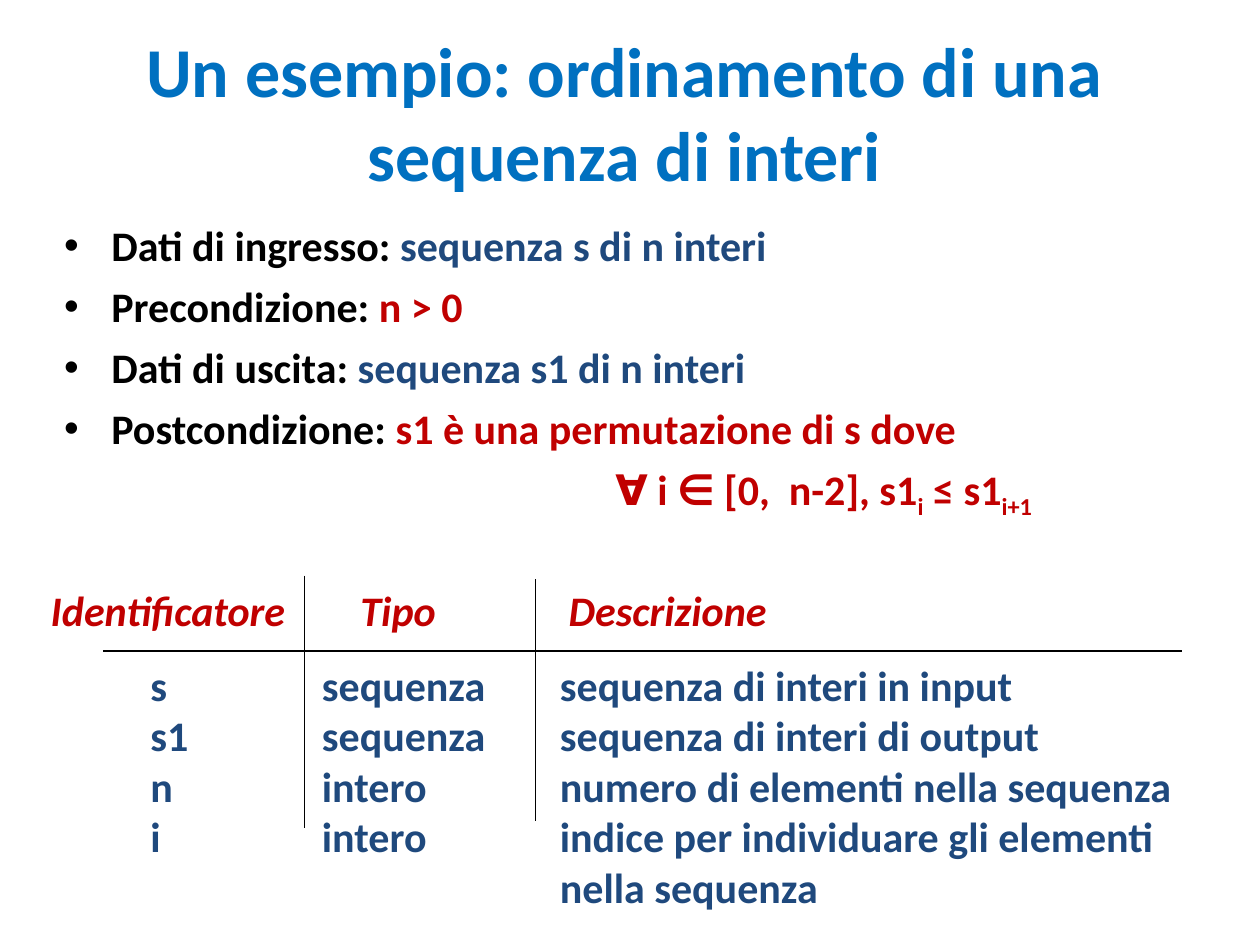
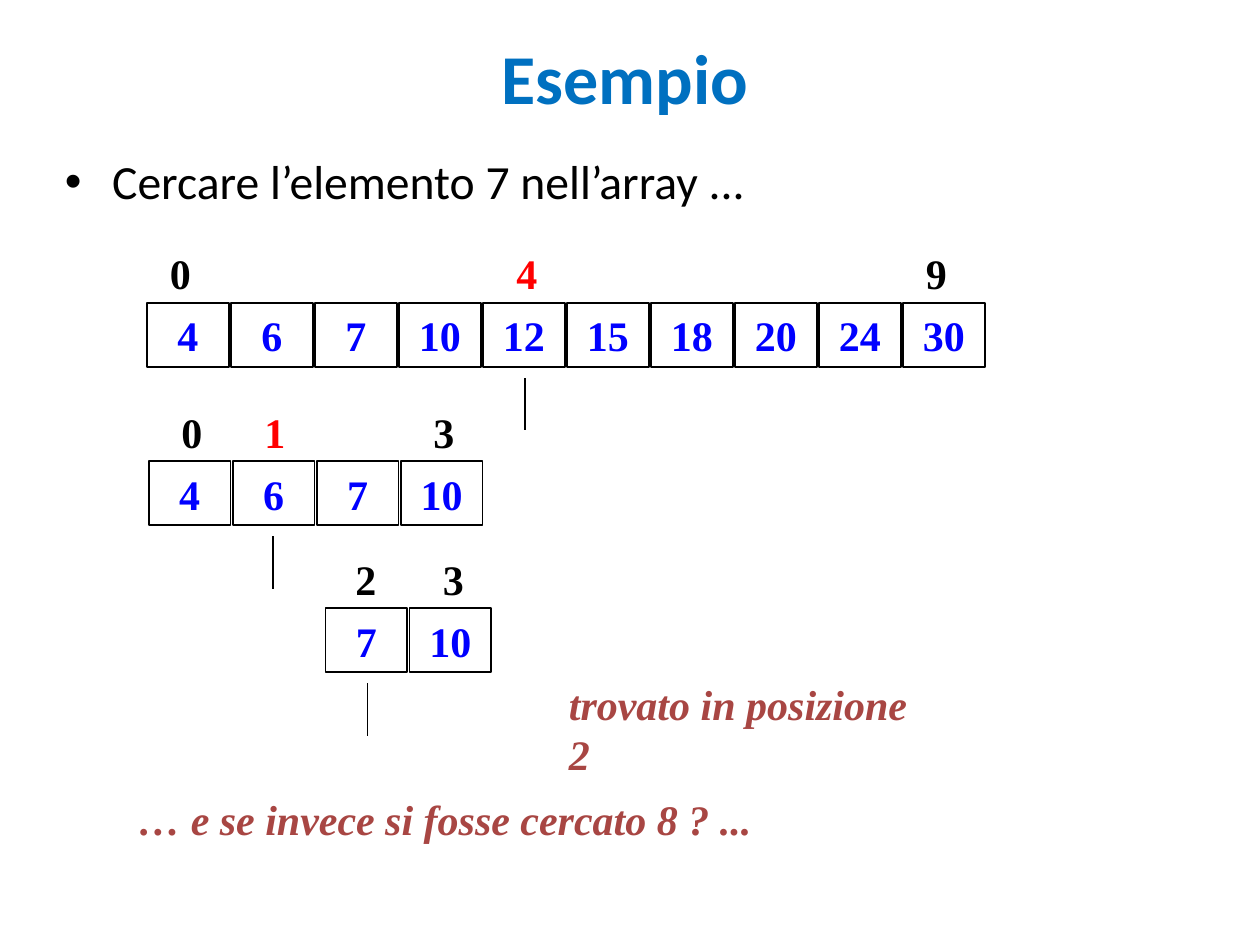
from dataclasses import dataclass

from lxml.etree import SubElement
from pptx import Presentation
from pptx.dml.color import RGBColor
from pptx.enum.shapes import MSO_CONNECTOR, MSO_SHAPE
from pptx.enum.text import MSO_ANCHOR, MSO_AUTO_SIZE, PP_ALIGN
from pptx.oxml.ns import qn
from pptx.util import Pt


@dataclass(frozen=True)
class Theme:
    sans: str = "Calibri"
    serif: str = "Times New Roman"
    title: str = "0070C0"
    black: str = "000000"
    navy: str = "1F497D"
    crimson: str = "C00000"
    blue: str = "0000FF"
    red: str = "FF0000"
    brick: str = "A84643"
    head: float = 40
    lead: float = 27.2
    body: float = 24
    rule: float = 1


LOOK = Theme()
PITCH, CELL_W, CELL_H = 48, 46.8, 36.7
INDENT = 27


def add_run(par, text, color, font=LOOK.sans, size=LOOK.body,
            bold=True, italic=False, sub=False):
    run = par.add_run()
    run.text = text
    run.font.name = font
    run.font.size = Pt(size)
    run.font.bold = bold
    run.font.italic = italic
    run.font.color.rgb = RGBColor.from_string(color)
    if sub:
        run._r.get_or_add_rPr().set("baseline", "-25000")


def add_page(deck, title, left, top, width, height):
    """Add a title-only slide with its title placed and styled."""
    page = deck.slides.add_slide(deck.slide_layouts[5])
    shape = page.shapes.title
    shape.left, shape.top = Pt(left), Pt(top)
    shape.width, shape.height = Pt(width), Pt(height)
    frame = shape.text_frame
    frame.auto_size = MSO_AUTO_SIZE.NONE
    frame.vertical_anchor = MSO_ANCHOR.MIDDLE
    par = frame.paragraphs[0]
    par.alignment = PP_ALIGN.CENTER
    add_run(par, title, LOOK.title, size=LOOK.head)
    return page


def add_box(page, left, top, width, height, wrap=False):
    box = page.shapes.add_textbox(Pt(left), Pt(top), Pt(width), Pt(height))
    box.text_frame.word_wrap = wrap
    return box.text_frame


def set_indent(par, left, bullet):
    props = par._p.get_or_add_pPr()
    props.set("marL", str(Pt(left)))
    props.set("indent", str(Pt(-INDENT if bullet else 0)))
    if bullet:
        SubElement(props, qn("a:buFont")).set("typeface", "Arial")
        SubElement(props, qn("a:buChar")).set("char", "•")
    else:
        SubElement(props, qn("a:buNone"))


def add_line(page, x1, y1, x2, y2):
    line = page.shapes.add_connector(
        MSO_CONNECTOR.STRAIGHT, Pt(x1), Pt(y1), Pt(x2), Pt(y2))
    line.line.color.rgb = RGBColor.from_string(LOOK.black)
    line.line.width = Pt(LOOK.rule)
    SubElement(line._element.spPr, qn("a:effectLst"))


def add_note(page, text, left, top, width, color, italic=False):
    frame = add_box(page, left, top, width, 36)
    add_run(frame.paragraphs[0], text, color, LOOK.serif, italic=italic)


def add_cell(page, text, left, top):
    cell = page.shapes.add_shape(
        MSO_SHAPE.RECTANGLE, Pt(left), Pt(top), Pt(CELL_W), Pt(CELL_H))
    cell.shadow.inherit = False
    cell.fill.background()
    cell.line.color.rgb = RGBColor.from_string(LOOK.black)
    cell.line.width = Pt(LOOK.rule)
    frame = cell.text_frame
    frame.word_wrap = False
    frame.vertical_anchor = MSO_ANCHOR.MIDDLE
    par = frame.paragraphs[0]
    par.alignment = PP_ALIGN.CENTER
    add_run(par, text, LOOK.blue, LOOK.serif)


def add_array(page, left, top, values, marks, probe):
    """Draw a row of cells, index marks above it and a probe line below."""
    for pos, value in enumerate(values):
        add_cell(page, str(value), left + pos * PITCH, top)
    for text, x, color in marks:
        add_note(page, text, x, top - 35, 26, color)
    add_line(page, probe, top + 43, probe, top + 73)


def add_terms(page, rows, edges, heights, pads):
    """Add the table of identifiers; pads hold head and body insets."""
    left, top = edges[0], 335
    table = page.shapes.add_table(
        len(rows), len(rows[0]), Pt(left), Pt(top),
        Pt(edges[-1] - left), Pt(sum(heights))).table
    table.first_row = table.horz_banding = False
    for column, start, end in zip(table.columns, edges, edges[1:]):
        column.width = Pt(end - start)
    for r, (row, height) in enumerate(zip(rows, heights)):
        table.rows[r].height = Pt(height)
        head = r == 0
        for c, text in enumerate(row):
            cell = table.cell(r, c)
            cell.fill.background()
            cell.margin_left = Pt(pads[0 if head else 1][c])
            cell.margin_right = cell.margin_top = cell.margin_bottom = 0
            add_run(cell.text_frame.paragraphs[0], text,
                    LOOK.crimson if head else LOOK.navy, italic=head)


def add_sort(deck):
    page = add_page(deck, "Un esempio: ordinamento di una sequenza di interi",
                    29.5, 32.4, 654.5, 62.6)
    frame = add_box(page, 29.5, 122, 646.5, 190, wrap=True)
    facts = [
        ("Dati di ingresso: ", "sequenza s di n interi", LOOK.navy),
        ("Precondizione: ", "n > 0", LOOK.crimson),
        ("Dati di uscita: ", "sequenza s1 di n interi", LOOK.navy),
        ("Postcondizione: ", "s1 è una permutazione di s dove", LOOK.crimson),
    ]
    for pos, (label, text, color) in enumerate(facts):
        par = frame.add_paragraph() if pos else frame.paragraphs[0]
        set_indent(par, INDENT, True)
        if pos:
            par.space_before = Pt(6)
        add_run(par, label, LOOK.black)
        add_run(par, text, color)
    par = frame.add_paragraph()
    set_indent(par, 315, False)
    par.space_before = Pt(6)
    for text, sub in [("∀ i ∈ [0,  n-2], s1", False), ("i", True),
                      (" ≤ s1", False), ("i+1", True)]:
        add_run(par, text, LOOK.crimson, sub=sub)

    rows = [
        ("Identificatore", "Tipo", "Descrizione"),
        ("s", "sequenza", "sequenza di interi in input"),
        ("s1", "sequenza", "sequenza di interi di output"),
        ("n", "intero", "numero di elementi nella sequenza"),
        ("i", "intero",
         "indice per individuare gli elementi nella sequenza"),
    ]
    add_terms(page, rows, (29, 174, 306, 690), (43, 28.8, 28.8, 28.8, 57.6),
              ((0, 32, 19), (57, 10, 14)))
    add_line(page, 306, 331, 306, 469)
    add_line(page, 174, 329, 174, 473)
    add_line(page, 59, 372, 675.5, 372)


def add_search(deck):
    page = add_page(deck, "Esempio", 12, 12, 690, 63.5)
    frame = add_box(page, 30, 83.5, 636, 41, wrap=True)
    par = frame.paragraphs[0]
    set_indent(par, INDENT, True)
    add_run(par, "Cercare l’elemento 7 nell’array ...", LOOK.black,
            size=LOOK.lead, bold=False)

    black, red = LOOK.black, LOOK.red
    add_array(page, 84, 173, (4, 6, 7, 10, 12, 15, 18, 20, 24, 30),
              [("0", 90, black), ("4", 288, red), ("9", 522, black)], 300)
    add_array(page, 85, 263.5, (4, 6, 7, 10),
              [("0", 96.5, black), ("1", 144, red), ("3", 240.5, black)], 156)
    add_array(page, 186, 347.5, (7, 10),
              [("2", 196, black), ("3", 246, black)], 210)
    add_note(page, "trovato in posizione 2", 318, 384, 225.5,
             LOOK.brick, italic=True)
    add_note(page, "… e se invece si fosse cercato 8 ? ...", 72, 450, 365,
             LOOK.brick, italic=True)


def main():
    deck = Presentation()
    deck.slide_width, deck.slide_height = Pt(720), Pt(540)
    add_sort(deck)
    add_search(deck)
    deck.save("out.pptx")


if __name__ == "__main__":
    main()
